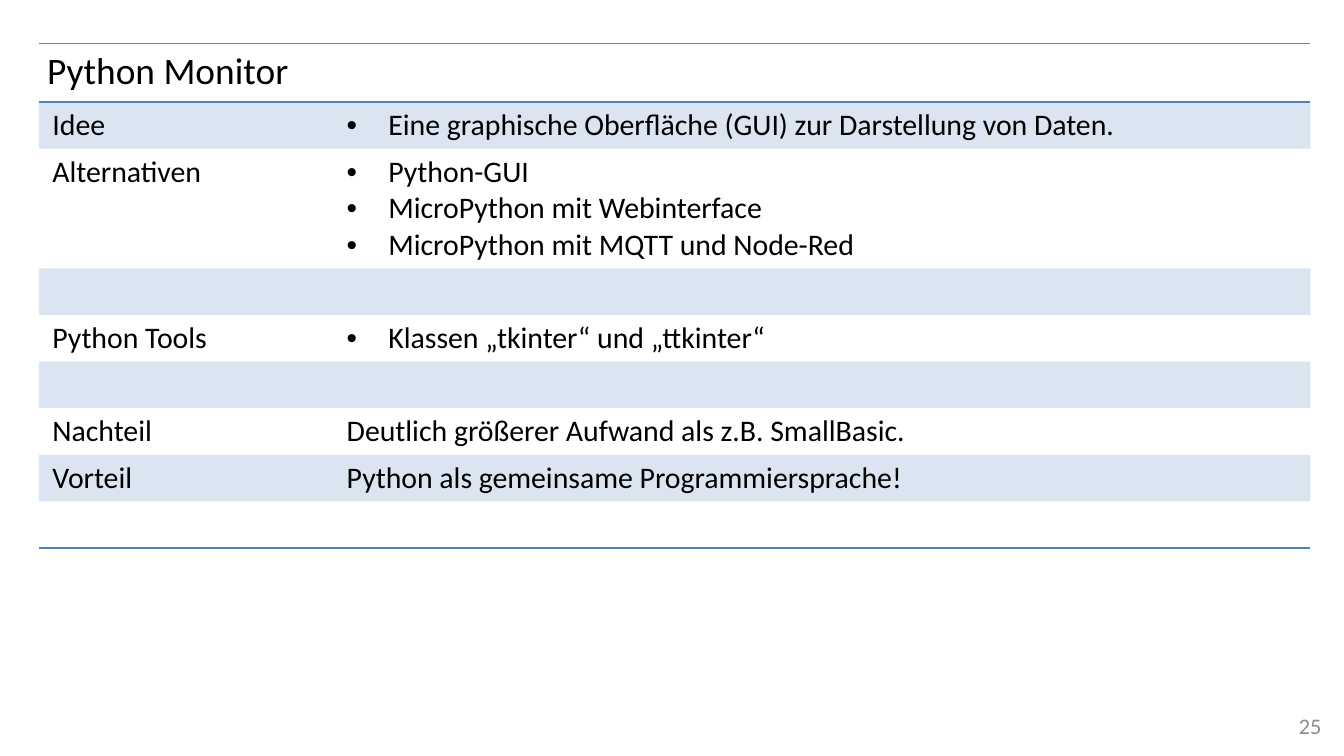
from lxml.etree import SubElement
from pptx import Presentation
from pptx.dml.color import RGBColor
from pptx.enum.text import MSO_ANCHOR, PP_ALIGN
from pptx.oxml.ns import qn
from pptx.util import Inches, Pt

TITLE = "Python Monitor"
PAGE_NUMBER = "25"
ROWS = [
    ("Idee", ["Eine graphische Oberfläche (GUI) zur Darstellung von Daten."], True),
    ("Alternativen", ["Python-GUI", "MicroPython mit Webinterface",
                      "MicroPython mit MQTT und Node-Red"], True),
    ("", [], False),
    ("Python Tools", ["Klassen „tkinter“ und „ttkinter“"], True),
    ("", [], False),
    ("Nachteil", ["Deutlich größerer Aufwand als z.B. SmallBasic."], False),
    ("Vorteil", ["Python als gemeinsame Programmiersprache!"], False),
    ("", [], False),
]

FONT = "Calibri"
BLACK = RGBColor(0x00, 0x00, 0x00)
GRAY = RGBColor(0x8C, 0x8C, 0x8C)
RULE_GRAY = RGBColor(0x7F, 0x7F, 0x7F)
BLUE = RGBColor(0x4F, 0x81, 0xBD)
PLAIN_TABLE_STYLE = "{2D5ABB26-0587-4C30-8999-92F81FD0307C}"
SLIDE_WIDTH = Inches(10)
SLIDE_HEIGHT = SLIDE_WIDTH * 9 // 16
TABLE_HEIGHT = Inches(3.7)
COLUMN_WIDTHS = (2.19, 7.27)
HEADER_HEIGHT = 0.44
ROW_HEIGHT = 0.3
CELL_PADDING = Pt(2.7)
BODY_SIZE = 16


def add_run(paragraph, text, size, color=BLACK):
    run = paragraph.add_run()
    run.text = text
    run.font.name = FONT
    run.font.size = Pt(size)
    run.font.color.rgb = color


def add_bullet(paragraph):
    properties = paragraph._p.get_or_add_pPr()
    properties.set("marL", str(Inches(0.31)))
    properties.set("indent", str(Inches(-0.31)))
    SubElement(properties, qn("a:buFont"), typeface="Arial")
    SubElement(properties, qn("a:buChar"), char="•")


def fill_cell(cell, lines, bulleted, shaded):
    cell.margin_top = cell.margin_bottom = CELL_PADDING
    frame = cell.text_frame
    for index, line in enumerate(lines):
        paragraph = frame.add_paragraph() if index else frame.paragraphs[0]
        if bulleted:
            add_bullet(paragraph)
        add_run(paragraph, line, BODY_SIZE)
    if not lines:
        SubElement(frame.paragraphs[0]._p, qn("a:endParaRPr"), sz=str(BODY_SIZE * 100))
    if shaded:
        cell.fill.solid()
        cell.fill.fore_color.rgb = BLUE
        color = cell._tc.tcPr.find(".//" + qn("a:srgbClr"))
        SubElement(color, qn("a:alpha"), val="20000")


def add_border(cell, side, color, width):
    line = SubElement(cell._tc.get_or_add_tcPr(), qn("a:ln" + side), w=str(Pt(width)))
    SubElement(SubElement(line, qn("a:solidFill")), qn("a:srgbClr"), val=str(color))


def add_topic_table(slide):
    shape = slide.shapes.add_table(len(ROWS) + 1, 2, Inches(0.29), Inches(0.32),
                                   Inches(sum(COLUMN_WIDTHS)), TABLE_HEIGHT)
    table = shape.table
    table._tbl.tblPr.find(qn("a:tableStyleId")).text = PLAIN_TABLE_STYLE
    table.first_row = table.horz_banding = False
    for column, width in zip(table.columns, COLUMN_WIDTHS):
        column.width = Inches(width)

    table.rows[0].height = Inches(HEADER_HEIGHT)
    table.cell(0, 0).merge(table.cell(0, 1))
    for index, (label, lines, bulleted) in enumerate(ROWS, start=1):
        table.rows[index].height = Inches(ROW_HEIGHT)
        shaded = index % 2 == 1
        fill_cell(table.cell(index, 0), [label] if label else [], False, shaded)
        fill_cell(table.cell(index, 1), lines, bulleted, shaded)
    shape.height = TABLE_HEIGHT

    for column in range(2):
        add_border(table.cell(0, column), "T", RULE_GRAY, 0.5)
        add_border(table.cell(0, column), "B", BLUE, 1)
        add_border(table.cell(len(ROWS), column), "B", BLUE, 1)


def add_title(slide):
    title = slide.shapes.title
    title.left, title.top = Inches(0.25), Inches(0.32)
    title.width, title.height = Inches(9.49), Inches(0.39)
    title.text_frame.vertical_anchor = MSO_ANCHOR.MIDDLE
    paragraph = title.text_frame.paragraphs[0]
    paragraph.alignment = PP_ALIGN.LEFT
    add_run(paragraph, TITLE, 20)


def add_page_number(slide):
    box = slide.shapes.add_textbox(Inches(7.6), Inches(5.25), Inches(2.33), Inches(0.3))
    frame = box.text_frame
    frame.word_wrap = True
    frame.vertical_anchor = MSO_ANCHOR.MIDDLE
    frame.paragraphs[0].alignment = PP_ALIGN.RIGHT
    add_run(frame.paragraphs[0], PAGE_NUMBER, 11.9, GRAY)


def main():
    presentation = Presentation()
    presentation.slide_width = SLIDE_WIDTH
    presentation.slide_height = SLIDE_HEIGHT
    slide = presentation.slides.add_slide(presentation.slide_layouts[5])
    add_topic_table(slide)
    add_page_number(slide)
    add_title(slide)
    presentation.save("out.pptx")


if __name__ == "__main__":
    main()
